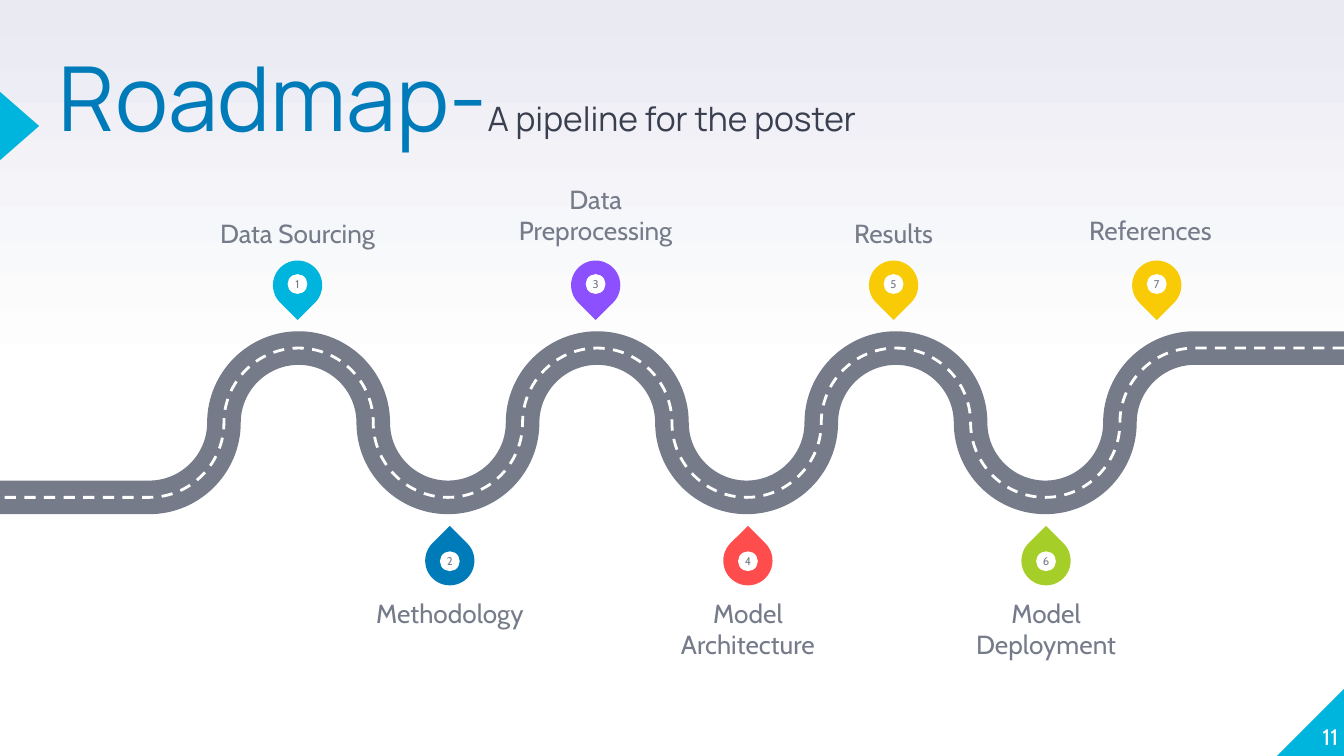
from lxml.etree import SubElement
from pptx import Presentation
from pptx.dml.color import RGBColor
from pptx.enum.dml import MSO_LINE
from pptx.enum.shapes import MSO_SHAPE
from pptx.enum.text import MSO_ANCHOR, MSO_AUTO_SIZE, PP_ALIGN
from pptx.oxml.ns import qn
from pptx.util import Pt

TITLE = [("Roadmap-", "head", "blue"), ("A pipeline for the poster", "sub", "ink")]
PAGE = "11"

# Steps: label, pin colour, pin centre, label centre, label top
ABOVE = [
    ("Data Sourcing", "cyan", 159.4, 159.4, 91.3),
    ("Data Preprocessing", "violet", 319.1, 319.1, 89.9),
    ("Results", "yellow", 478.7, 478.7, 91.3),
    ("References", "yellow", 619.7, 616.3, 89.9),
]
BELOW = [
    ("Methodology", "blue", 241, 241, 320),
    ("Model Architecture", "red", 400.7, 400.7, 320),
    ("Model Deployment", "lime", 560.4, 560.4, 320),
]
# Rows: steps, first number, pin centre, dot centre, turn, label anchor
ROWS = [
    (ABOVE, 1, 152.8, 152.2, 135, MSO_ANCHOR.BOTTOM),
    (BELOW, 2, 300.4, 300.7, 315, MSO_ANCHOR.TOP),
]

THEME = {
    "font": {"head": "Manrope", "body": "Cabin"},
    "size": {"head": 48, "sub": 18, "label": 14, "page": 12, "pin": 6},
    "color": {
        "blue": "007BB9", "ink": "3A3F50", "gray": "757B89", "white": "FFFFFF",
        "haze": "E9EAF2", "cyan": "00B5DD", "violet": "8C50FF",
        "yellow": "F9CB07", "red": "FF4D4D", "lime": "A6CE28",
    },
}

WIDE, HIGH = 720, 405
RAD, MID, ARCS = 40, 226.5, 14
BOW = 0.55  # handle length of a quarter circle, as a share of its radius
PIN, DOT = 26.4, 10.6
LABEL_W, LABEL_H = 101.5, 41.8


def color(name):
    return RGBColor.from_string(THEME["color"][name])


def style(font, face, size, tint):
    font.name = THEME["font"][face]
    font.size = Pt(THEME["size"][size])
    font.color.rgb = color(tint)


def frame(shape, anchor):
    """Strip the insets, wrap, and return the text frame."""
    text = shape.text_frame
    text.margin_left = text.margin_right = text.margin_top = text.margin_bottom = 0
    text.word_wrap = True
    text.auto_size = MSO_AUTO_SIZE.NONE
    text.vertical_anchor = anchor
    return text


def write(shape, words, size, tint, align, anchor):
    line = frame(shape, anchor).paragraphs[0]
    line.text = words
    line.alignment = align
    style(line.font, "body", size, tint)


def box(shapes, words, place, size, tint, align, anchor):
    shape = shapes.add_textbox(*map(Pt, place))
    write(shape, words, size, tint, align, anchor)


def solid(shapes, kind, place, tint, turn=0):
    shape = shapes.add_shape(kind, *map(Pt, place))
    shape.shadow.inherit = False
    shape.fill.solid()
    shape.fill.fore_color.rgb = color(tint)
    shape.line.fill.background()
    shape.rotation = turn
    return shape


def around(x, y, size):
    return x - size / 2, y - size / 2, size, size


def route():
    """Ends of the quarter circles from right to left, between two straight ends."""
    right = WIDE - 2 * RAD
    joints = [(right - RAD * i, MID + RAD * (-1, 0, 1, 0)[i % 4])
              for i in range(ARCS + 1)]
    return [(WIDE, MID - RAD), *joints, (0, MID + RAD)]


def bend(shape):
    """Turn every line but the first and last into a quarter circle."""
    first, *steps, _ = list(shape.element.iter(qn("a:lnTo")))
    ends = [[int(step[0].get(axis)) for axis in "xy"] for step in (first, *steps)]
    for i, (step, (x, y), (nx, ny)) in enumerate(zip(steps, ends, ends[1:])):
        dx, dy = nx - x, ny - y
        if i % 2 == 0:
            spots = (x + BOW * dx, y), (nx, ny - BOW * dy), (nx, ny)
        else:
            spots = (x, y + BOW * dy), (nx - BOW * dx, ny), (nx, ny)
        curve = SubElement(step.getparent(), qn("a:cubicBezTo"))
        for px, py in spots:
            SubElement(curve, qn("a:pt"), x=str(round(px)), y=str(round(py)))
        step.getparent().replace(step, curve)


def road(shapes, tint, width, dash=None):
    first, *rest = [(Pt(x), Pt(y)) for x, y in route()]
    build = shapes.build_freeform(*first)
    build.add_line_segments(rest, close=False)
    shape = build.convert_to_shape()
    bend(shape)
    shape.shadow.inherit = False
    shape.fill.background()
    shape.line.color.rgb = color(tint)
    shape.line.width = Pt(width)
    if dash:
        shape.line.dash_style = dash


def pin(shapes, number, tint, x, y, dot_y, turn):
    group = shapes.add_group_shape().shapes
    solid(group, MSO_SHAPE.TEAR, around(x, y, PIN), tint, turn)
    dot = solid(group, MSO_SHAPE.OVAL, around(x, dot_y, DOT), "white")
    write(dot, str(number), "pin", "gray", PP_ALIGN.CENTER, MSO_ANCHOR.MIDDLE)


def head(title):
    title.left, title.top, title.width, title.height = map(Pt, (31.5, 33.6, 444, 85))
    line = frame(title, MSO_ANCHOR.TOP).paragraphs[0]
    line.alignment = PP_ALIGN.LEFT
    line.line_spacing = 0.8
    for words, size, tint in TITLE:
        run = line.add_run()
        run.text = words
        style(run.font, "head", size, tint)


def main():
    deck = Presentation()
    deck.slide_width, deck.slide_height = Pt(WIDE), Pt(HIGH)
    slide = deck.slides.add_slide(deck.slide_layouts[5])
    shapes = slide.shapes

    fill = slide.background.fill
    fill.gradient()
    fill.gradient_angle = 90
    for stop, place, tint in zip(fill.gradient_stops, (0.5, 1), ("white", "haze")):
        stop.position = place
        stop.color.rgb = color(tint)

    head(shapes.title)
    solid(shapes, MSO_SHAPE.RIGHT_TRIANGLE, (684, 368.4, 36.6, 36.6), "cyan", 270)
    solid(shapes, MSO_SHAPE.ISOSCELES_TRIANGLE, (-7.9, 57, 36.7, 21), "cyan", 90)
    box(shapes, PAGE, (681, 365, 36, 36.7), "page", "white",
        PP_ALIGN.RIGHT, MSO_ANCHOR.BOTTOM)

    road(shapes, "gray", 18)
    road(shapes, "white", 1.5, MSO_LINE.DASH)

    for steps, first, y, dot_y, turn, anchor in ROWS:
        for i, (label, tint, x, mid, top) in enumerate(steps):
            pin(shapes, first + 2 * i, tint, x, y, dot_y, turn)
            box(shapes, label, (mid - LABEL_W / 2, top, LABEL_W, LABEL_H),
                "label", "gray", PP_ALIGN.CENTER, anchor)

    deck.save("out.pptx")


if __name__ == "__main__":
    main()
